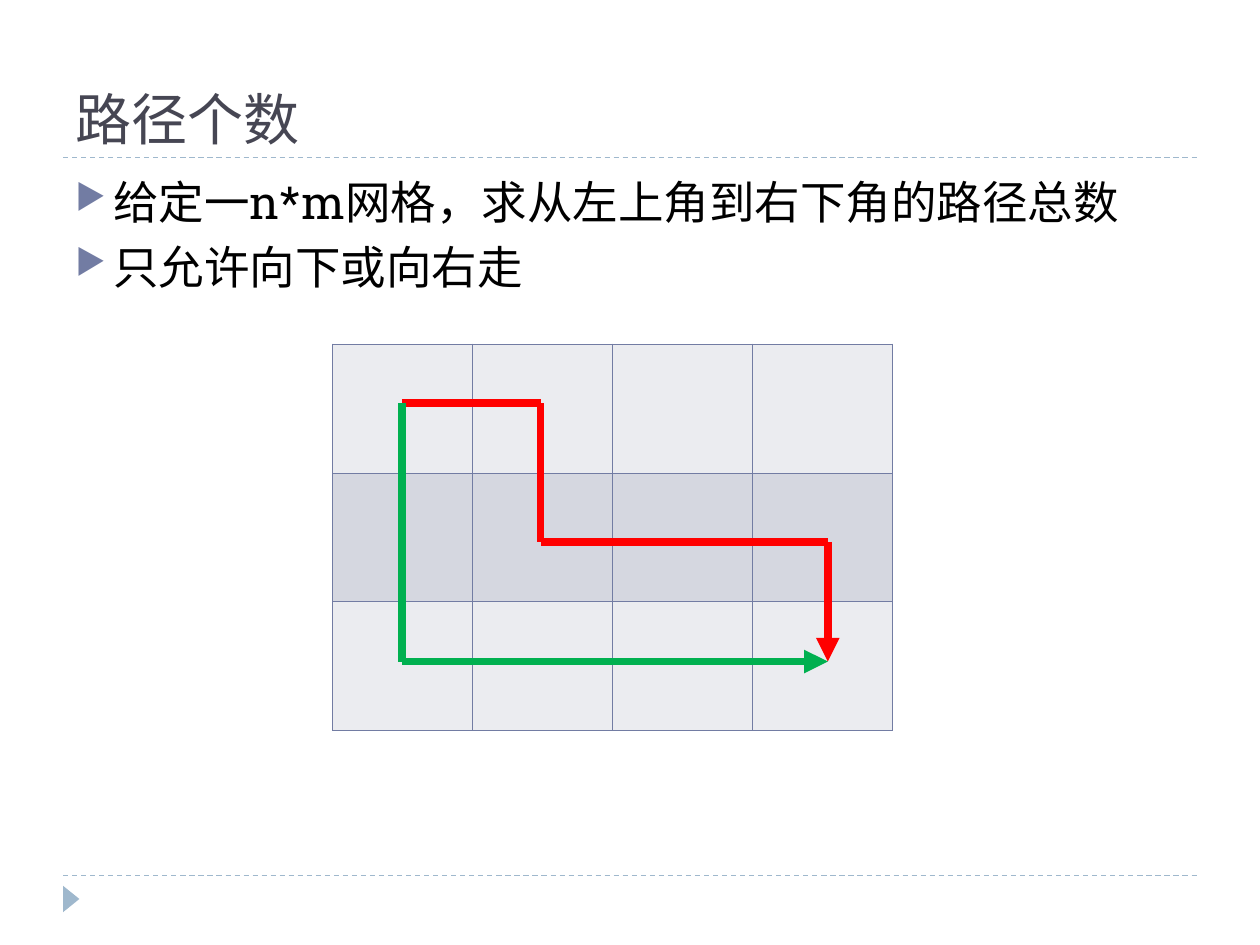
import itertools

import lxml.etree
import pptx
import pptx.dml.color
import pptx.enum.dml
import pptx.enum.shapes
import pptx.enum.text
import pptx.oxml
import pptx.oxml.ns
import pptx.util
from pptx.util import Inches

CJK_FONT = "Noto Sans CJK JP"
BODY_FONT = "Roboto Slab"
RULE, ACCENT = "9FB8CD", "727CA3"
RED, GREEN = "FF0000", "00B050"
ROW_FILLS = ["EBECF0", "D5D7E0", "EBECF0"]
COLUMNS = 4


def color(value):
    """Return the RGB colour for a hex string."""
    return pptx.dml.color.RGBColor.from_string(value)


def add_element(parent, tag, **attrs):
    """Append a DrawingML element to a parent and return it."""
    return lxml.etree.SubElement(parent, pptx.oxml.ns.qn(tag), attrs)


def add_line(s, start, end, line_color, width, dashed=False, arrow=False):
    """Draw a straight connector between two points."""
    c = s.shapes.add_connector(
        pptx.enum.shapes.MSO_CONNECTOR.STRAIGHT,
        *(Inches(v) for v in (*start, *end)))
    c.line.color.rgb = color(line_color)
    c.line.width = pptx.util.Pt(width)
    if dashed:
        c.line.dash_style = pptx.enum.dml.MSO_LINE.DASH
    if arrow:
        add_element(c.line._get_or_add_ln(), "a:tailEnd", type="triangle")
    add_element(c._element.spPr, "a:effectLst")


def add_route(s, points, line_color):
    """Draw a route through points, ending in an arrowhead."""
    for start, end in itertools.pairwise(points):
        add_line(s, start, end, line_color, 4.5, arrow=end == points[-1])


def add_marker(s):
    """Draw the footer triangle that points right."""
    sp = s.shapes.add_shape(
        pptx.enum.shapes.MSO_SHAPE.ISOSCELES_TRIANGLE,
        Inches(0.46), Inches(7.07), Inches(0.21), Inches(0.13))
    sp.rotation = 90
    sp.shadow.inherit = False
    sp.fill.solid()
    sp.fill.fore_color.rgb = color(RULE)
    sp.line.fill.background()


def add_bullet(p):
    """Give a paragraph a hanging triangle bullet."""
    pPr = p._p.get_or_add_pPr()
    pPr.set("marL", str(Inches(0.3)))
    pPr.set("indent", str(Inches(-0.3)))
    add_element(add_element(pPr, "a:buClr"), "a:srgbClr", val=ACCENT)
    add_element(pPr, "a:buSzPct", val="76000")
    add_element(pPr, "a:buChar", char="▶")


def add_text(s, top, height, lines, size, font, text_color, anchor, bullets=False):
    """Add a full-width text box with one paragraph per line."""
    sp = s.shapes.add_textbox(Inches(0.5), Inches(top), Inches(9), Inches(height))
    tf = sp.text_frame
    tf.word_wrap = True
    tf.vertical_anchor = anchor
    tf.text = "\n".join(lines)
    for i, p in enumerate(tf.paragraphs):
        if bullets:
            add_bullet(p)
        if i:
            p.space_before = pptx.util.Pt(6)
        for r in p.runs:
            r.font.size = pptx.util.Pt(size)
            r.font.name = font
            r.font.color.rgb = color(text_color)
            add_element(r._r.get_or_add_rPr(), "a:ea", typeface=CJK_FONT)


def format_cell(cell, fill):
    """Set the borders and fill of a table cell."""
    tcPr = cell._tc.get_or_add_tcPr()
    for side in ("a:lnL", "a:lnR", "a:lnT", "a:lnB"):
        ln = add_element(tcPr, side, w=str(pptx.util.Pt(0.45)))
        add_element(add_element(ln, "a:solidFill"), "a:srgbClr", val=ACCENT)
    cell.fill.solid()
    cell.fill.fore_color.rgb = color(fill)


def add_grid(s):
    """Add the empty grid with alternating row fills."""
    table = s.shapes.add_table(
        len(ROW_FILLS), COLUMNS,
        Inches(2.64), Inches(2.73), Inches(4.44), Inches(3.07)).table
    for row, fill in zip(table.rows, ROW_FILLS):
        for cell in row.cells:
            format_cell(cell, fill)


def main():
    """Build the slide and save it."""
    prs = pptx.Presentation()
    prs.slide_width, prs.slide_height = Inches(10), Inches(7.5)
    s = prs.slides.add_slide(prs.slide_layouts[6])
    for y in (6.95, 1.25):
        add_line(s, (0.5, y), (9.5, y), RULE, 0.75, dashed=True)
    add_marker(s)
    anchors = pptx.enum.text.MSO_ANCHOR
    add_text(s, 0.17, 1.08, ["路径个数"], 32, CJK_FONT, "464653", anchors.BOTTOM)
    add_text(s, 1.33, 5.4,
             ["给定一n*m网格，求从左上角到右下角的路径总数", "只允许向下或向右走"],
             26, BODY_FONT, "000000", anchors.TOP, bullets=True)
    add_grid(s)
    x1, x2, x3, x4 = 3.19, 4.29, 5.39, 6.57
    top, bottom = 3.2, 5.25
    add_route(s, [(x1, top), (x2, top), (x2, 4.3), (x3, 4.3), (x4, 4.3),
                  (x4, bottom)], RED)
    add_route(s, [(x1, top), (x1, 4.22), (x1, bottom), (x2, bottom),
                  (x3, bottom), (x4, bottom)], GREEN)
    prs.save("out.pptx")


if __name__ == "__main__":
    main()
